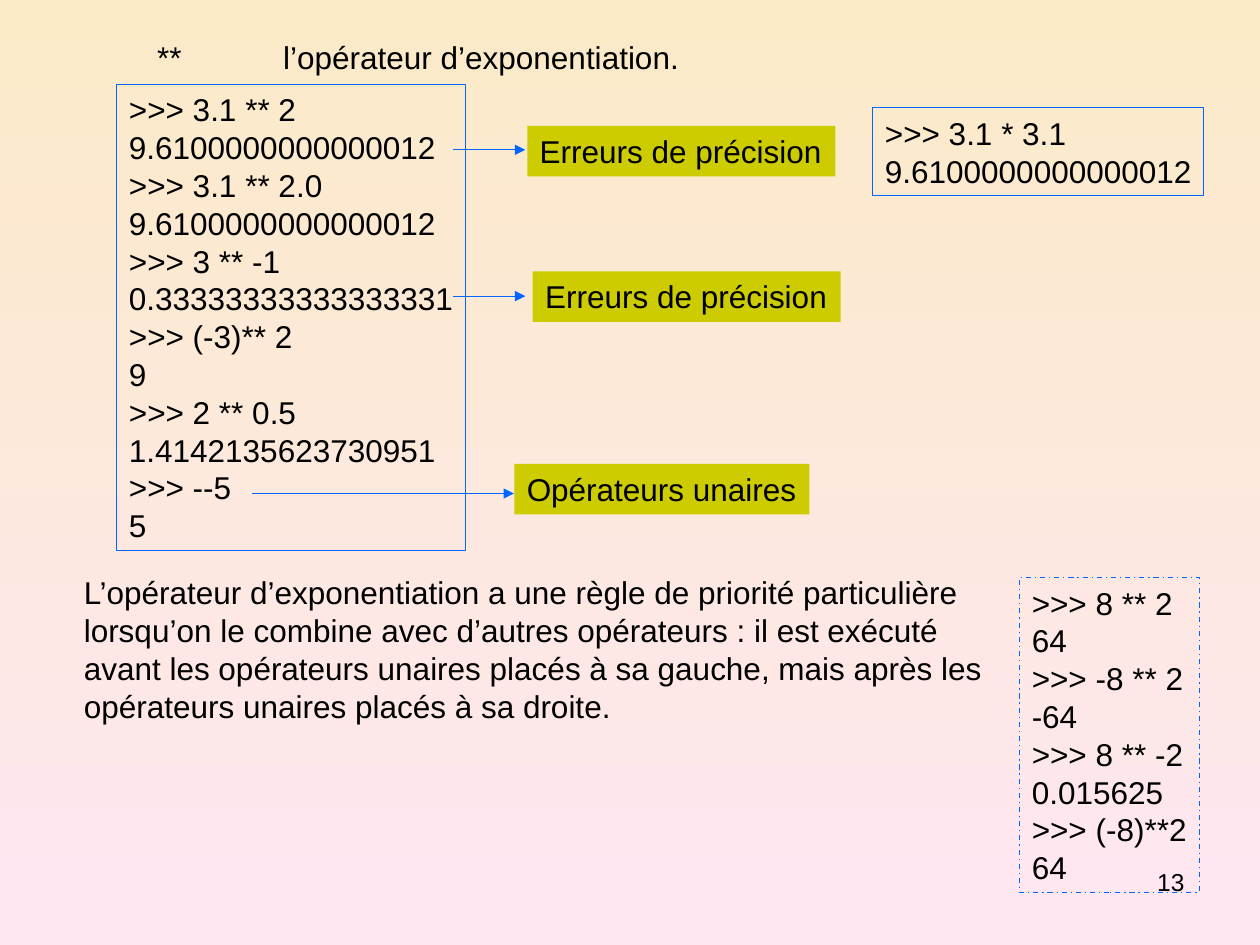
from dataclasses import dataclass
from typing import Optional

from lxml import etree
from pptx import Presentation
from pptx.dml.color import RGBColor
from pptx.enum.dml import MSO_LINE
from pptx.enum.shapes import MSO_CONNECTOR, MSO_SHAPE
from pptx.enum.text import MSO_ANCHOR, MSO_AUTO_SIZE, PP_ALIGN
from pptx.oxml.ns import qn
from pptx.util import Cm, Pt

RECTANGLE = MSO_SHAPE.RECTANGLE
STRAIGHT = MSO_CONNECTOR.STRAIGHT
DASH_DOT = MSO_LINE.DASH_DOT
LEFT, RIGHT = PP_ALIGN.LEFT, PP_ALIGN.RIGHT
TOP = MSO_ANCHOR.TOP
GROW, FIXED = MSO_AUTO_SIZE.SHAPE_TO_FIT_TEXT, MSO_AUTO_SIZE.NONE
BLANK_LAYOUT = 6


@dataclass(frozen=True)
class Theme:
    sky: RGBColor = RGBColor(0xFB, 0xEA, 0xC7)
    ground: RGBColor = RGBColor(0xFE, 0xE7, 0xF2)
    accent: RGBColor = RGBColor(0x00, 0x66, 0xFF)
    label: RGBColor = RGBColor(0xCC, 0xCC, 0x00)
    ink: RGBColor = RGBColor(0, 0, 0)
    font: str = "Arial"
    body: Pt = Pt(18)
    number: Pt = Pt(14)
    stroke: Pt = Pt(0.75)


THEME = Theme()


@dataclass(frozen=True)
class Frame:
    left: float
    top: float
    width: float
    height: float

    def lengths(self) -> list:
        return [Cm(n) for n in (self.left, self.top, self.width, self.height)]


@dataclass(frozen=True)
class Session:
    frame: Frame
    code: str
    dash: Optional[MSO_LINE] = None


@dataclass(frozen=True)
class Note:
    """A label and the level arrow that leads to it."""
    frame: Frame
    text: str
    arrow_start: float
    arrow_end: float
    arrow_height: float


SESSION = Session(Frame(2.35, 1.7, 7.04, 9.4), """>>> 3.1 ** 2
9.6100000000000012
>>> 3.1 ** 2.0
9.6100000000000012
>>> 3 ** -1
0.33333333333333331
>>> (-3)** 2
9
>>> 2 ** 0.5
1.4142135623730951
>>> --5
5""")
PRODUCT = Session(Frame(17.59, 2.17, 6.68, 1.78), """>>> 3.1 * 3.1
9.6100000000000012""")
PRIORITY = Session(Frame(20.55, 11.64, 3.63, 6.35), """>>> 8 ** 2
64
>>> -8 ** 2
-64
>>> 8 ** -2
0.015625
>>> (-8)**2
64""", DASH_DOT)

NOTES = [
    Note(Frame(10.63, 2.54, 6.21, 1.02), "Erreurs de précision", 9.14, 10.59, 3.02),
    Note(Frame(10.74, 5.47, 6.21, 1.02), "Erreurs de précision", 9.14, 10.59, 5.97),
    Note(Frame(10.37, 9.35, 5.95, 1.02), "Opérateurs unaires", 5.08, 10.36, 9.95),
]

RULE = """L’opérateur d’exponentiation a une règle de priorité particulière
lorsqu’on le combine avec d’autres opérateurs : il est exécuté
avant les opérateurs unaires placés à sa gauche, mais après les
opérateurs unaires placés à sa droite."""


def apply(target, values: dict) -> None:
    for name, value in values.items():
        setattr(target, name, value)


def write(box, text: str, size: Pt = THEME.body, align=LEFT, wrap: bool = False) -> None:
    """Give each line of the text its own paragraph."""
    frame = box.text_frame
    apply(frame, {"word_wrap": wrap, "auto_size": FIXED if wrap else GROW,
                  "vertical_anchor": TOP})
    for index, line in enumerate(text.split("\n")):
        para = frame.paragraphs[0] if index == 0 else frame.add_paragraph()
        para.alignment = align
        span = para.add_run()
        span.text = line
        apply(span.font, {"name": THEME.font, "size": size})
        span.font.color.rgb = THEME.ink


def add_text(page, frame: Frame, text: str, **style):
    box = page.shapes.add_textbox(*frame.lengths())
    write(box, text, **style)
    return box


def add_rectangle(page, frame: Frame, text: str):
    box = page.shapes.add_shape(RECTANGLE, *frame.lengths())
    box.shadow.inherit = False
    write(box, text)
    return box


def add_session(page, session: Session) -> None:
    box = add_rectangle(page, session.frame, session.code)
    box.fill.background()
    box.line.color.rgb = THEME.accent
    apply(box.line, {"width": THEME.stroke, "dash_style": session.dash})


def add_note(page, note: Note) -> None:
    height = Cm(note.arrow_height)
    arrow = page.shapes.add_connector(
        STRAIGHT, Cm(note.arrow_start), height, Cm(note.arrow_end), height)
    arrow.line.color.rgb = THEME.accent
    arrow.line.width = THEME.stroke
    etree.SubElement(arrow.line._get_or_add_ln(), qn("a:tailEnd"), type="triangle")
    etree.SubElement(arrow._element.spPr, qn("a:effectLst"))
    box = add_rectangle(page, note.frame, note.text)
    box.fill.solid()
    box.fill.fore_color.rgb = THEME.label
    box.line.fill.background()


def add_tab_stop(box, position: Cm) -> None:
    properties = box.text_frame.paragraphs[0]._p.get_or_add_pPr()
    stops = etree.SubElement(properties, qn("a:tabLst"))
    etree.SubElement(stops, qn("a:tab"), pos=str(int(position)), algn="l")


def paint_background(page) -> None:
    fill = page.background.fill
    fill.gradient()
    fill.gradient_angle = 270
    for stop, color in zip(fill.gradient_stops, (THEME.sky, THEME.ground)):
        stop.color.rgb = color


def main() -> None:
    deck = Presentation()
    apply(deck, {"slide_width": Cm(25.4), "slide_height": Cm(19.05)})
    page = deck.slides.add_slide(deck.slide_layouts[BLANK_LAYOUT])
    paint_background(page)

    add_text(page, Frame(18.21, 17.35, 5.92, 1.32), "13",
             size=THEME.number, align=RIGHT, wrap=True)
    heading = add_text(page, Frame(2.92, 0.64, 11.02, 1.02),
                       "**\tl’opérateur d’exponentiation.")
    add_tab_stop(heading, Cm(2.54))
    add_session(page, SESSION)
    for note in NOTES:
        add_note(page, note)
    add_session(page, PRODUCT)
    add_text(page, Frame(1.44, 11.43, 18.62, 3.3), RULE)
    add_session(page, PRIORITY)

    deck.save("out.pptx")


if __name__ == "__main__":
    main()
